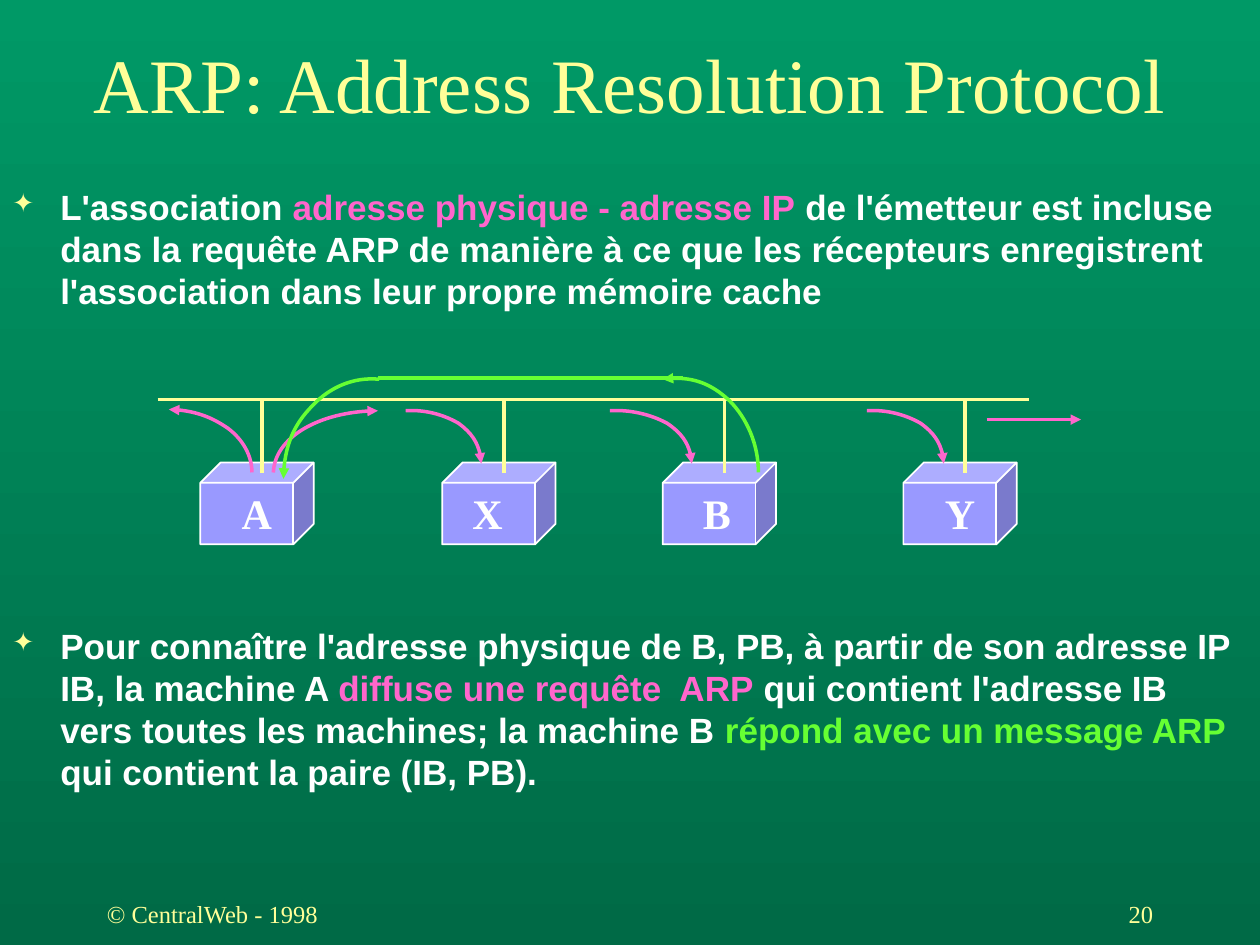
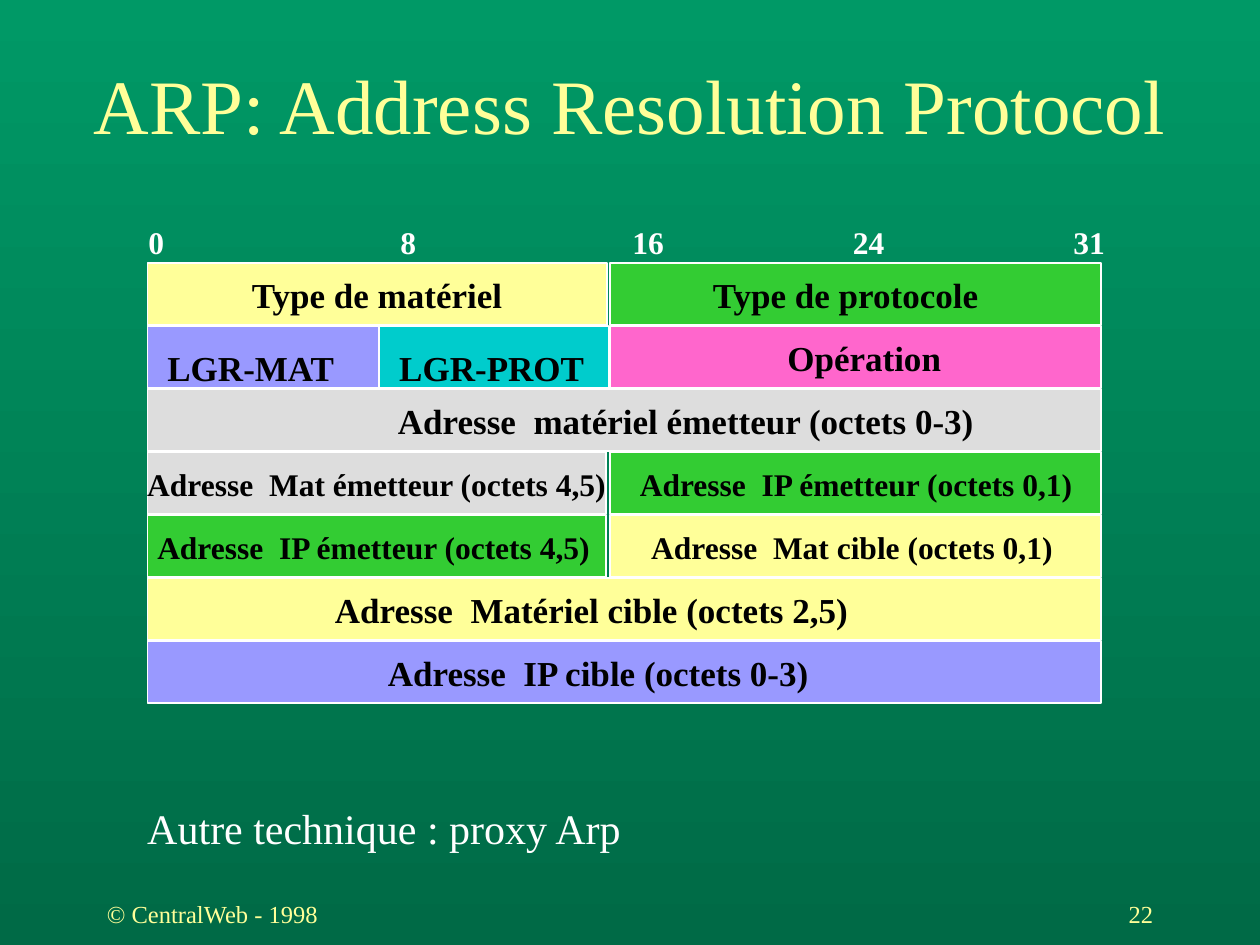
"""Builds two slides on ARP: the broadcast exchange and the packet layout."""
import pptx
import pptx.dml.color
import pptx.enum.shapes
import pptx.enum.text
import pptx.oxml.ns
import pptx.util
from lxml import etree
from pptx.util import Inches

COLOURS = {
    "top": "009966", "bottom": "006A46", "cream": "FFFF99", "white": "FFFFFF",
    "black": "000000", "pink": "FF66CC", "lime": "66FF33", "violet": "9999FF",
    "green": "33CC33", "cyan": "00CCCC", "grey": "DDDDDD",
}
SERIF, SANS = "Times New Roman", "Arial"
ALIGN = pptx.enum.text.PP_ALIGN
ANCHOR = pptx.enum.text.MSO_ANCHOR
SHAPE = pptx.enum.shapes.MSO_SHAPE
qn = pptx.oxml.ns.qn


def rgb(name):
    return pptx.dml.color.RGBColor.from_string(COLOURS[name])


class Deck:
    def __init__(self):
        self.file = pptx.Presentation()
        self.file.slide_width, self.file.slide_height = Inches(10), Inches(7.5)
        self.slide = None

    def start_slide(self, title, title_top, number):
        self.slide = self.file.slides.add_slide(self.file.slide_layouts[6])
        background = self.slide.background.fill
        background.gradient()
        background.gradient_angle = 270
        for stop, position, name in zip(background.gradient_stops, (0, 1), ("top", "bottom")):
            stop.position = position
            stop.color.rgb = rgb(name)
        self.text(title, 0, title_top, 10, 0.69, 44, "cream", align=ALIGN.CENTER, anchor=ANCHOR.MIDDLE)
        for footer, left, align in ((str(number), 7.17, ALIGN.RIGHT),
                                    ("© CentralWeb - 1998", 0.75, ALIGN.LEFT)):
            self.text(footer, left, 7, 2.08, 0.5, 14, "cream", align=align, anchor=ANCHOR.MIDDLE)

    def frame(self, left, top, width, height, wrap=True):
        box = self.slide.shapes.add_textbox(Inches(left), Inches(top), Inches(width), Inches(height))
        box.text_frame.word_wrap = wrap
        return box.text_frame

    def run(self, paragraph, words, size, colour, font, bold):
        run = paragraph.add_run()
        run.text = words
        run.font.size, run.font.name, run.font.bold = pptx.util.Pt(size), font, bold
        run.font.color.rgb = rgb(colour)

    def text(self, words, left, top, width, height, size, colour,
             bold=False, align=ALIGN.LEFT, anchor=ANCHOR.TOP, wrap=True):
        frame = self.frame(left, top, width, height, wrap)
        frame.vertical_anchor = anchor
        paragraph = frame.paragraphs[0]
        paragraph.alignment = align
        self.run(paragraph, words, size, colour, SERIF, bold)

    def label(self, words, left, top, width, size, colour, bold=True):
        self.text(words, left, top, width, size / 60 + 0.1, size, colour, bold, wrap=False)

    def bullets(self, items, left, top, width, height, gap):
        frame = self.frame(left, top, width, height)
        for index, item in enumerate(items):
            paragraph = frame.add_paragraph() if index else frame.paragraphs[0]
            if index:
                paragraph.space_before = pptx.util.Pt(gap)
            properties = paragraph._p.get_or_add_pPr()
            properties.set("marL", str(Inches(0.38)))
            properties.set("indent", str(Inches(-0.38)))
            colour = etree.SubElement(properties, qn("a:buClr"))
            etree.SubElement(colour, qn("a:srgbClr"), val=COLOURS["cream"])
            etree.SubElement(properties, qn("a:buSzPct"), val="75000")
            etree.SubElement(properties, qn("a:buChar"), char="✦")
            for words, colour in item:
                self.run(paragraph, words, 20, colour, SANS, True)

    def block(self, kind, left, top, width, height, fill):
        shape = self.slide.shapes.add_shape(
            kind, Inches(left), Inches(top), Inches(width), Inches(height))
        shape.shadow.inherit = False
        shape.fill.solid()
        shape.fill.fore_color.rgb = rgb(fill)
        shape.line.color.rgb = rgb("white")
        shape.line.width = pptx.util.Pt(1)

    def stroke(self, line, colour, arrow):
        line.color.rgb = rgb(colour)
        line.width = pptx.util.Pt(2)
        if arrow:
            etree.SubElement(line._get_or_add_ln(), qn(f"a:{arrow}End"), type="triangle")

    def line(self, x1, y1, x2, y2, colour, arrow=None):
        link = self.slide.shapes.add_connector(
            pptx.enum.shapes.MSO_CONNECTOR.STRAIGHT, Inches(x1), Inches(y1), Inches(x2), Inches(y2))
        self.stroke(link.line, colour, arrow)
        etree.SubElement(link._element.spPr, qn("a:effectLst"))

    def curve(self, points, colour, arrow):
        start, *controls = [(Inches(x), Inches(y)) for x, y in points]
        builder = self.slide.shapes.build_freeform(*start)
        builder.add_line_segments(controls, close=False)
        shape = builder.convert_to_shape()
        outline = shape._element.find(".//" + qn("a:path"))
        segments = outline.findall(qn("a:lnTo"))
        for first in range(0, len(segments), 3):
            bezier = etree.SubElement(outline, qn("a:cubicBezTo"))
            for segment in segments[first:first + 3]:
                bezier.append(segment[0])
                outline.remove(segment)
        shape.shadow.inherit = False
        shape.fill.background()
        self.stroke(shape.line, colour, arrow)


def exchange_slide(deck, title):
    deck.start_slide(title, 0.31, 20)
    deck.bullets([
        [("L'association ", "white"), ("adresse physique - adresse IP", "pink"),
         (" de l'émetteur est incluse dans la requête ARP de manière à ce que les récepteurs "
          "enregistrent l'association dans leur propre mémoire cache", "white")],
        [("Pour connaître l'adresse physique de B, PB, à partir de son adresse IP IB, la machine A ", "white"),
         ("diffuse une requête  ARP", "pink"),
         (" qui contient l'adresse IB vers toutes les machines; la machine B ", "white"),
         ("répond avec un message ARP", "lime"),
         (" qui contient la paire (IB, PB).", "white")],
    ], 0, 1.42, 9.92, 5.17, gap=179)

    bus = 3.17
    deck.line(1.25, bus, 8.17, bus, "cream")
    for host, left, label_left in (("A", 1.59, 1.82), ("X", 3.51, 3.65),
                                   ("B", 5.26, 5.48), ("Y", 7.17, 7.4)):
        deck.block(SHAPE.CUBE, left, 3.67, 0.9, 0.65, "violet")
        deck.line(left + 0.49, bus, left + 0.49, 3.75, "cream")
        deck.label(host, label_left, 3.82, 0.44, 24, "white")

    deck.curve([(1.34, 3.25), (1.51, 3.25), (1.68, 3.31), (1.81, 3.4),
                (1.93, 3.49), (2, 3.62), (2, 3.75)], "pink", "head")
    deck.curve([(2.17, 3.75), (2.18, 3.48), (2.55, 3.26), (3, 3.26)], "pink", "tail")
    reception = [(0, 0), (0.25, -0.01), (0.5, 0.03), (0.7, 0.1), (0.88, 0.18), (1, 0.3), (1, 0.42)]
    for left, width in ((3.22, 0.6), (4.84, 0.65), (6.88, 0.61)):
        deck.curve([(left + x * width, 3.26 + y) for x, y in reception], "pink", "tail")
    deck.line(7.83, 3.33, 8.58, 3.33, "pink", "tail")

    deck.curve([(5.26, 3.01), (5.45, 2.98), (5.64, 3.04), (5.79, 3.18),
                (5.93, 3.32), (6.02, 3.53), (6.02, 3.75)], "lime", "head")
    deck.line(5.42, 3, 3, 3, "lime")
    deck.curve([(2.25, 3.8), (2.25, 3.58), (2.33, 3.37), (2.48, 3.22),
                (2.62, 3.07), (2.81, 2.99), (3.01, 3.01)], "lime", "head")


def packet_slide(deck, title):
    deck.start_slide(title, 0.48, 22)
    for bit, left in ((0, 1.08), (8, 3.08), (16, 4.92), (24, 6.67), (31, 8.42)):
        deck.label(str(bit), left, 1.72, 0.33 if bit < 10 else 0.45, 18, "white")

    whole, first_half, second_half = (1.17, 7.57), (1.17, 3.65), (4.84, 3.9)
    narrow_half, first_byte, second_byte = (1.17, 3.64), (1.17, 1.9), (3.01, 1.82)
    fields = [
        (0, first_half, "cream", "Type de matériel", 1.9, 2.21, 20, 0.03),
        (0, second_half, "green", "Type de protocole", 5.56, 2.34, 20, 0.03),
        (1, first_byte, "violet", "LGR-MAT", 1.23, 1.53, 20, 0.11),
        (1, second_byte, "cyan", "LGR-PROT", 3.07, 1.67, 20, 0.11),
        (1, second_half, "pink", "Opération", 6.15, 1.42, 20, 0.03),
        (2, whole, "grey", "Adresse  matériel émetteur (octets 0-3)", 3.06, 4.78, 20, 0.03),
        (3, narrow_half, "grey", "Adresse  Mat émetteur (octets 4,5)", 1.07, 3.85, 18, 0.05),
        (3, second_half, "green", "Adresse  IP émetteur (octets 0,1)", 4.98, 3.66, 18, 0.05),
        (4, narrow_half, "green", "Adresse  IP émetteur (octets 4,5)", 1.15, 3.66, 18, 0.05),
        (4, second_half, "cream", "Adresse  Mat cible (octets 0,1)", 5.07, 3.4, 18, 0.05),
        (5, whole, "cream", "Adresse  Matériel cible (octets 2,5)", 2.56, 4.28, 20, 0.03),
        (6, whole, "violet", "Adresse  IP cible (octets 0-3)", 2.98, 3.56, 20, 0.03),
    ]
    for row, (left, width), fill, words, label_left, label_width, size, drop in fields:
        top = 2.09 + 0.5 * row
        deck.block(SHAPE.RECTANGLE, left, top, width, 0.49, fill)
        deck.label(words, label_left, top + drop, label_width, size, "black")
    deck.label("Autre technique : proxy Arp", 1.07, 6.32, 3.98, 24, "white", bold=False)


def main():
    deck = Deck()
    title = "ARP: Address Resolution Protocol"
    exchange_slide(deck, title)
    packet_slide(deck, title)
    deck.file.save("out.pptx")


if __name__ == "__main__":
    main()
